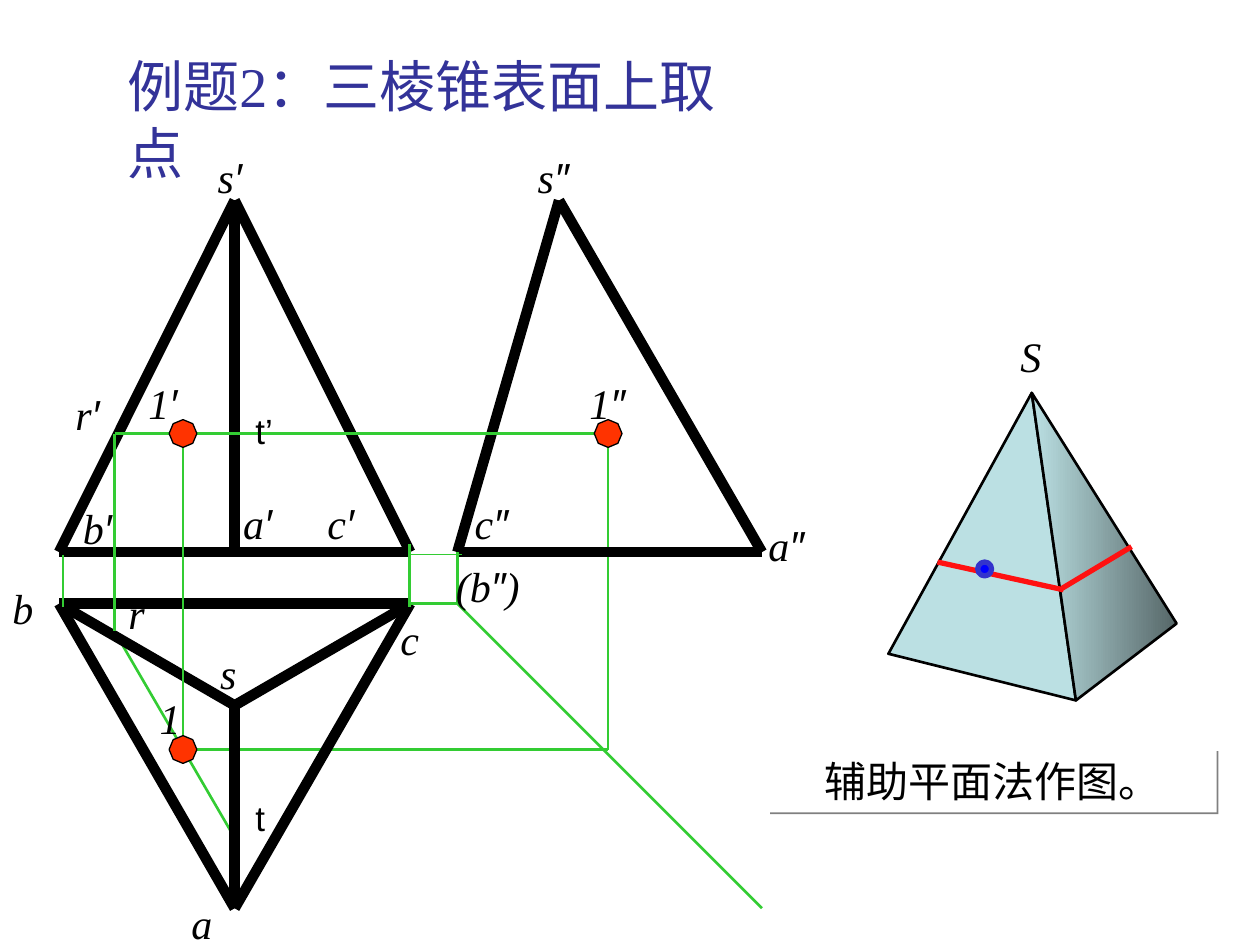
from math import cos, sin, pi
from lxml.etree import SubElement
from pptx import Presentation
from pptx.dml.color import RGBColor
from pptx.enum.shapes import MSO_CONNECTOR, MSO_SHAPE
from pptx.enum.text import MSO_ANCHOR, MSO_AUTO_SIZE, PP_ALIGN
from pptx.oxml.ns import qn
from pptx.util import Cm, Pt

COLORS = {"edge": "000000", "guide": "33CC33", "marker": "FF3300", "title": "333399",
          "face": "BBE0E3", "shade": "566768", "section": "FF1111", "dot": "0000FF",
          "ring": "3333CC", "paper": "FFFFFF", "shadow": "808080"}
SERIF, SANS = "Times New Roman", "Arial"

# Content: all positions in centimetres
TITLE = ("例题2：三棱锥表面上取点", (2.31, 0.91, 13.2, 2.97))
NOTE = ("辅助平面法作图。", (15.49, 15.11, 9.04, 1.27))

# Shared coordinates of the three projections
LEFT, MIDDLE, RIGHT = 1.19, 4.73, 8.27            # front and top view
SIDE_BACK, SIDE_APEX, SIDE_FRONT = 9.22, 11.27, 15.36
APEX, BASE = 4.04, 11.13                          # heights
TOP_BACK, TOP_APEX, TOP_FRONT = 12.17, 14.22, 18.31
POINT_X, POINT_SIDE, POINT_Y, POINT_TOP = 3.69, 12.26, 8.74, 15.11
R_X, R_TOP = 2.31, 12.73

TOP_A, TOP_B, TOP_C, TOP_S = ((MIDDLE, TOP_FRONT), (LEFT, TOP_BACK),
                              (RIGHT, TOP_BACK), (MIDDLE, TOP_APEX))
FRONT_A, FRONT_B, FRONT_C, FRONT_S = ((MIDDLE, BASE), (LEFT, BASE),
                                      (RIGHT, BASE), (MIDDLE, APEX))
SIDE_A, SIDE_C, SIDE_S = (SIDE_FRONT, BASE), (SIDE_BACK, BASE), (SIDE_APEX, APEX)
MITRE = (SIDE_BACK, TOP_BACK)
POINTS = [(POINT_SIDE, POINT_Y), (POINT_X, POINT_TOP), (POINT_X, POINT_Y)]

BACK_GUIDES = [
    ((R_X, R_TOP), (MIDDLE, 16.89)),
    (POINTS[1], (POINT_SIDE, POINT_TOP)),
    ((POINT_SIDE, POINT_TOP), POINTS[0]),
]
EDGES = [
    (FRONT_B, FRONT_S), (FRONT_C, FRONT_S),
    (TOP_A, TOP_B), (TOP_C, TOP_A), (TOP_A, TOP_S),
    (TOP_B, TOP_S), (TOP_B, TOP_C), (TOP_C, TOP_S),
    (SIDE_A, SIDE_S), (SIDE_C, SIDE_S), (SIDE_A, SIDE_C),
    (FRONT_A, FRONT_B), (FRONT_C, FRONT_A), (FRONT_A, FRONT_S),
]
FRONT_GUIDES = [
    (TOP_C, MITRE), (SIDE_C, MITRE), (MITRE, (SIDE_FRONT, TOP_FRONT)),
    ((1.27, 11.18), (1.27, 12.24)), ((8.26, 10.97), (8.26, 12.24)),
    ((R_X, POINT_Y), POINTS[0]), (POINTS[2], POINTS[1]),
    ((R_X, POINT_Y), (R_X, R_TOP)),
]
THIN_GUIDES = [((8.26, 11.18), (9.32, 11.18))]

# Text, left, top, width
LABELS = [
    ("s", 4.19, 12.93, 1.7), ("(b″)", 8.94, 11.18, 2.54), ("s′", 4.14, 2.92, 2.74),
    ("a′", 4.65, 9.91, 1.47), ("a", 3.61, 17.96, 1.07), ("c′", 6.35, 9.91, 1.7),
    ("b′", 1.42, 10.01, 1.7), ("c″", 9.32, 9.91, 2.11), ("c", 7.82, 12.24, 1.7),
    ("s″", 10.59, 2.92, 1.91), ("b", 0, 11.61, 1.7), ("S", 20.32, 6.53, 1.91),
    ("a″", 15.24, 10.34, 1.91), ("1″", 11.63, 7.49, 2.34), ("1", 2.97, 13.84, 1.27),
    ("1′", 2.74, 7.49, 2.34), ("r′", 1.27, 7.7, 1.27), ("r", 2.34, 11.71, 0.84),
]
SANS_LABELS = [("t’", 4.9, 8.13, 1.6), ("t", 4.9, 15.93, 1.6)]

# Solid pyramid
SOLID_S, SOLID_A = (20.8, 7.92), (21.69, 14.12)
LEFT_FACE = [SOLID_S, (17.91, 13.18), SOLID_A]
RIGHT_FACE = [SOLID_S, (23.72, 12.57), SOLID_A]
SECTION = [((18.9, 11.33), (21.44, 11.89)), ((21.41, 11.86), (22.81, 11.02))]
DOT = (19.71, 11.33, 0.28, 0.28)


def color(name):
    return RGBColor.from_string(COLORS[name])


def lengths(values):
    return [Cm(value) for value in values]


def set_line(shape, name, width):
    shape.line.color.rgb = color(name)
    shape.line.width = Pt(width)


def set_fill(shape, name):
    shape.fill.solid()
    shape.fill.fore_color.rgb = color(name)


def add_lines(page, segments, name, width):
    for start, end in segments:
        line = page.shapes.add_connector(MSO_CONNECTOR.STRAIGHT, *lengths(start + end))
        set_line(line, name, width)
        SubElement(line._element.spPr, qn("a:effectLst"))


def add_polygon(page, corners, fill, width):
    first, *others = [tuple(lengths(corner)) for corner in corners]
    builder = page.shapes.build_freeform(*first)
    builder.add_line_segments(others, close=True)
    shape = builder.convert_to_shape()
    shape.shadow.inherit = False
    set_fill(shape, fill)
    set_line(shape, "edge", width)
    return shape


def write(shape, parts, align=PP_ALIGN.LEFT, **formats):
    """Fill a shape with one paragraph of (text, font name) parts."""
    frame = shape.text_frame
    frame.word_wrap = True
    frame.auto_size = MSO_AUTO_SIZE.NONE
    frame.vertical_anchor = MSO_ANCHOR.TOP
    paragraph = frame.paragraphs[0]
    paragraph.alignment = align
    ink = formats.pop("ink", "edge")
    for text, font_name in parts:
        span = paragraph.add_run()
        span.text = text
        span.font.color.rgb = color(ink)
        for key, value in {"name": font_name, **formats}.items():
            setattr(span.font, key, value)


def main():
    deck = Presentation()
    deck.slide_width, deck.slide_height = Cm(25.4), Cm(19.05)
    page = deck.slides.add_slide(deck.slide_layouts[5])

    # Title
    title = page.shapes.title
    text, place = TITLE
    title.left, title.top, title.width, title.height = lengths(place)
    write(title, [(text, SERIF)], size=Pt(32), ink="title")

    # Projections and guide lines
    add_lines(page, BACK_GUIDES, "guide", 1.5)
    add_lines(page, EDGES, "edge", 6)
    add_lines(page, FRONT_GUIDES, "guide", 1.5)
    add_lines(page, THIN_GUIDES, "guide", 0.75)

    # Octagonal markers of point 1
    for x, y in POINTS:
        corners = [(x + 0.28 * cos(step * pi / 4), y + 0.28 * sin(step * pi / 4))
                   for step in range(8)]
        add_polygon(page, corners, "marker", 0)

    # Labels, with the prime signs in the sans font
    for text, *place in LABELS:
        box = page.shapes.add_textbox(*lengths([*place, 1.27]))
        parts = [(letter, SANS if letter in "′″" else SERIF) for letter in text]
        write(box, parts, size=Pt(24), italic=True)
    for text, *place in SANS_LABELS:
        box = page.shapes.add_textbox(*lengths([*place, 1.12]))
        write(box, [(text, SANS)], size=Pt(20))

    # Solid pyramid with its section line and point
    add_polygon(page, LEFT_FACE, "face", 1.5)
    shaded = add_polygon(page, RIGHT_FACE, "face", 1.5)
    shaded.fill.gradient()
    shaded.fill.gradient_angle = 180
    for stop, name, position in zip(shaded.fill.gradient_stops, ("shade", "face"), (0, 1)):
        stop.color.rgb = color(name)
        stop.position = position
    add_lines(page, SECTION, "section", 3)
    dot = page.shapes.add_shape(MSO_SHAPE.OVAL, *lengths(DOT))
    dot.shadow.inherit = False
    set_fill(dot, "dot")
    set_line(dot, "ring", 3)

    # Method note with a hard shadow
    text, place = NOTE
    note = page.shapes.add_shape(MSO_SHAPE.RECTANGLE, *lengths(place))
    set_fill(note, "paper")
    note.line.fill.background()
    write(note, [(text, SERIF)], PP_ALIGN.CENTER, size=Pt(24))
    effects = SubElement(note._element.spPr, qn("a:effectLst"))
    shadow = SubElement(effects, qn("a:outerShdw"), blurRad="0", dist=str(Pt(1.4)),
                        dir="2700000", algn="ctr", rotWithShape="0")
    SubElement(shadow, qn("a:srgbClr"), val=COLORS["shadow"])

    deck.save("out.pptx")


if __name__ == "__main__":
    main()
